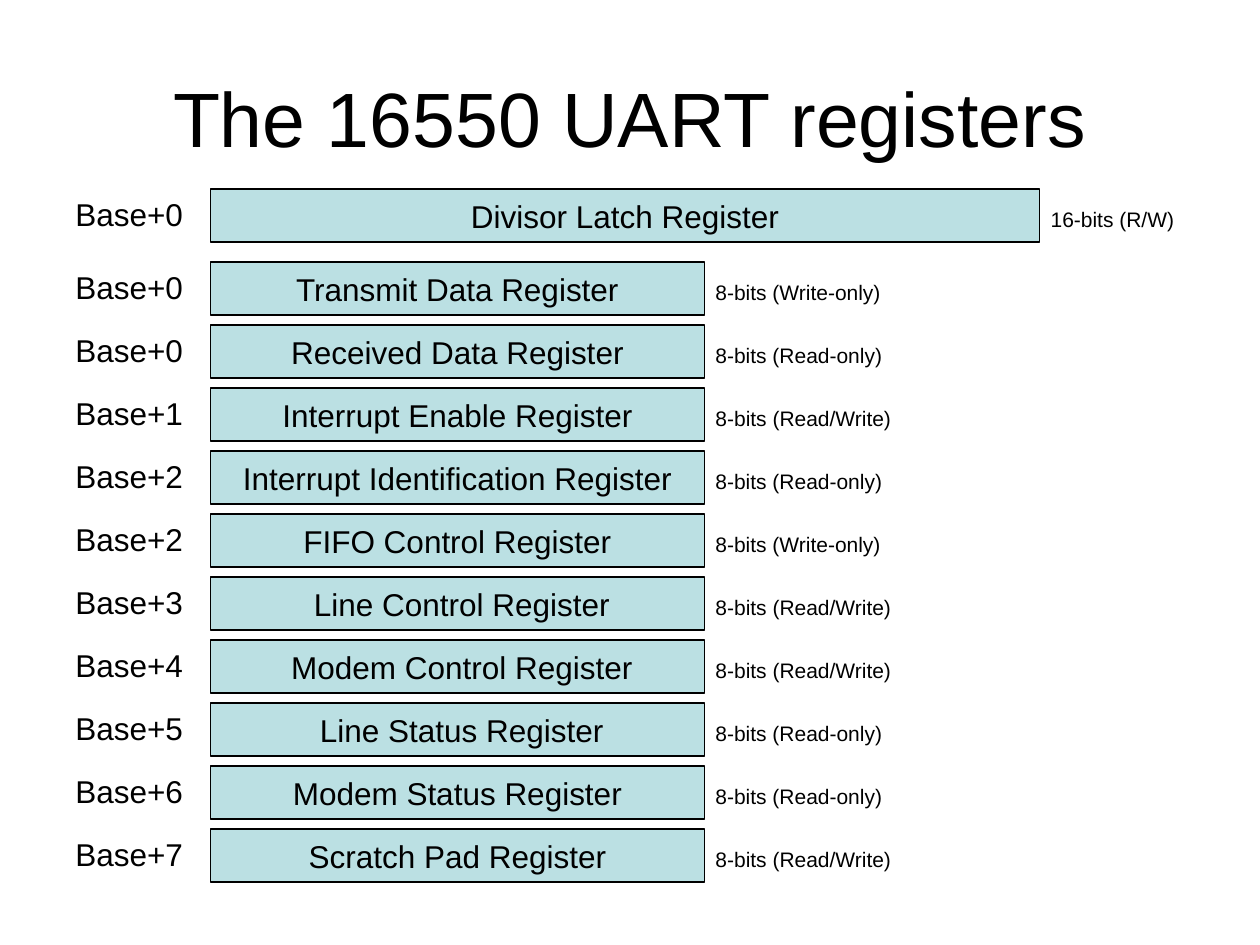
import pptx
import pptx.util
import pptx.dml.color
import pptx.enum.shapes
import pptx.enum.text
from pptx.util import Inches

BLACK = pptx.dml.color.RGBColor(0x00, 0x00, 0x00)
PALE_TEAL = pptx.dml.color.RGBColor(0xBB, 0xE0, 0xE3)
ALIGN = pptx.enum.text.PP_ALIGN
ANCHOR = pptx.enum.text.MSO_ANCHOR

LEFT, PITCH, FIRST_TOP = 1.67, 0.5, 2.08
NOTE_WIDTHS = {"R/W": 1.2, "Write-only": 1.53, "Read-only": 1.54, "Read/Write": 1.62}
REGISTERS = [
    ("Base+0", "Transmit Data Register", "Write-only"),
    ("Base+0", "Received Data Register", "Read-only"),
    ("Base+1", "Interrupt Enable Register", "Read/Write"),
    ("Base+2", "Interrupt Identification Register", "Read-only"),
    ("Base+2", "FIFO Control Register", "Write-only"),
    ("Base+3", " Line Control Register", "Read/Write"),
    ("Base+4", " Modem Control Register", "Read/Write"),
    ("Base+5", " Line Status Register", "Read-only"),
    ("Base+6", "Modem Status Register", "Read-only"),
    ("Base+7", "Scratch Pad Register", "Read/Write"),
]


def set_text(sp, text, size=18, align=ALIGN.LEFT, anchor=ANCHOR.TOP, wrap=False):
    tf = sp.text_frame
    tf.word_wrap = wrap
    tf.vertical_anchor = anchor
    p = tf.paragraphs[0]
    p.alignment = align
    r = p.add_run()
    r.text = text
    r.font.size = pptx.util.Pt(size)
    r.font.name = "Arial"
    r.font.color.rgb = BLACK


def add_title(s, text):
    sp = s.shapes.title
    sp.left, sp.top, sp.width, sp.height = map(Inches, (0.5, 0.3, 9, 1.25))
    set_text(sp, text, size=44, align=ALIGN.CENTER, anchor=ANCHOR.MIDDLE, wrap=True)


def add_label(s, text, left, top, width, height, **fmt):
    sp = s.shapes.add_textbox(*map(Inches, (left, top, width, height)))
    set_text(sp, text, **fmt)
    sp.text_frame.auto_size = pptx.enum.text.MSO_AUTO_SIZE.SHAPE_TO_FIT_TEXT


def add_box(s, text, top, width):
    sp = s.shapes.add_shape(pptx.enum.shapes.MSO_SHAPE.RECTANGLE,
                            *map(Inches, (LEFT, top, width, 0.42)))
    sp.shadow.inherit = False
    sp.fill.solid()
    sp.fill.fore_color.rgb = PALE_TEAL
    sp.line.color.rgb = BLACK
    sp.line.width = pptx.util.Pt(0.75)
    set_text(sp, text, align=ALIGN.CENTER, anchor=ANCHOR.MIDDLE)


def add_register(s, address, name, access, top, bits=8, width=3.92):
    add_label(s, address, 0.5, top, 1.07, 0.4)
    add_box(s, name, top, width)
    add_label(s, f"{bits}-bits ({access})", LEFT + width - 0.01, top + 0.09,
              NOTE_WIDTHS[access], 0.3, size=12)


def main():
    """Build the slide of UART registers and save it."""
    prs = pptx.Presentation()
    prs.slide_width, prs.slide_height = Inches(10), Inches(7.5)
    s = prs.slides.add_slide(prs.slide_layouts[5])
    add_title(s, "The 16550 UART registers")
    add_register(s, "Base+0", "Divisor Latch Register", "R/W", 1.5, bits=16, width=6.58)
    for i, register in enumerate(REGISTERS):
        add_register(s, *register, top=FIRST_TOP + i * PITCH)
    prs.save("out.pptx")


if __name__ == "__main__":
    main()
